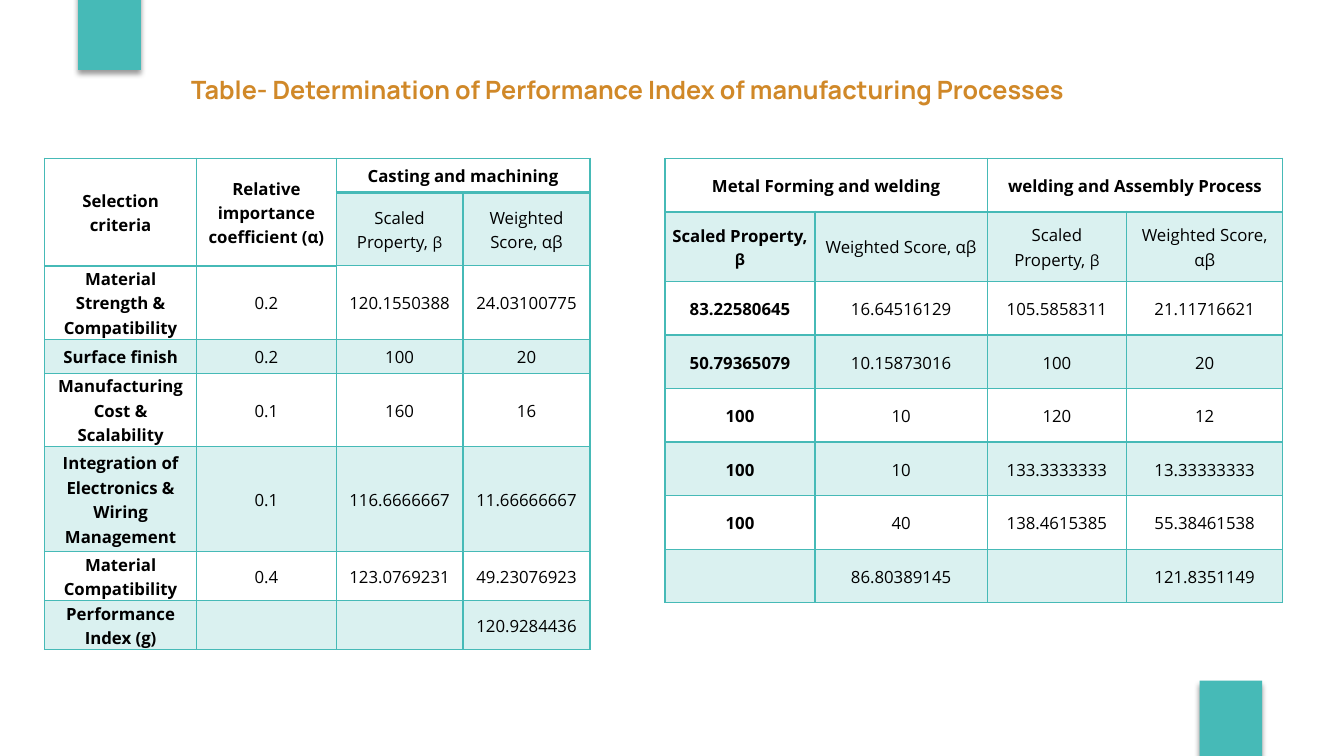
from lxml import etree
from pptx import Presentation
from pptx import util as u
from pptx.dml.color import RGBColor
from pptx.enum import shapes, text
from pptx.oxml import parse_xml
from pptx.oxml.ns import nsdecls, qn

TEAL, GOLD, BLACK = "46BAB7", "D08828", "000000"
CELL_FORMAT = {
    "margin_left": u.Cm(0.18), "margin_right": u.Cm(0.18),
    "margin_top": 0, "margin_bottom": 0,
    "vertical_anchor": text.MSO_ANCHOR.MIDDLE,
}
PARAGRAPH_FORMAT = {
    "alignment": text.PP_ALIGN.CENTER, "line_spacing": 1.07, "space_after": u.Pt(8),
}
SCALED, WEIGHTED = "Scaled Property, β", "Weighted Score, αβ"

PROCESS_TABLES = [
    {
        "left": 1.12,
        "widths": [3.84, 3.51, 3.2, 3.2],
        "heights": [0.86, 1.12, 1.75, 0.86, 1.75, 2.64, 0.86, 0.86],
        "merges": [(0, 0, 1, 0), (0, 1, 1, 1), (0, 2, 0, 3)],
        "rows": [
            ["Selection criteria", "Relative importance coefficient (α)", "Casting and machining", ""],
            ["", "", SCALED, WEIGHTED],
            ["Material Strength & Compatibility", "0.2", "120.1550388", "24.03100775"],
            ["Surface finish", "0.2", "100", "20"],
            ["Manufacturing Cost & Scalability", "0.1", "160", "16"],
            ["Integration of Electronics & Wiring Management", "0.1", "116.6666667", "11.66666667"],
            ["Material Compatibility", "0.4", "123.0769231", "49.23076923"],
            ["Performance Index (g)", "", "", "120.9284436"],
        ],
    },
    {
        "left": 16.76,
        "widths": [3.78, 4.34, 3.51, 3.94],
        "heights": [1.35, 1.75] + [1.35] * 6,
        "merges": [(0, 0, 0, 1), (0, 2, 0, 3)],
        "rows": [
            ["Metal Forming and welding", "", "welding and Assembly Process", ""],
            [SCALED, WEIGHTED, SCALED, WEIGHTED],
            ["83.22580645", "16.64516129", "105.5858311", "21.11716621"],
            ["50.79365079", "10.15873016", "100", "20"],
            ["100", "10", "120", "12"],
            ["100", "10", "133.3333333", "13.33333333"],
            ["100", "40", "138.4615385", "55.38461538"],
            ["", "86.80389145", "", "121.8351149"],
        ],
    },
]


def color(hex_string):
    return RGBColor.from_string(hex_string)


def set_format(target, values):
    for name, value in values.items():
        setattr(target, name, value)


def add_run(paragraph, content, font_name, size, hex_color, bold):
    run = paragraph.add_run()
    run.text = content
    set_format(run.font, {"name": font_name, "size": u.Pt(size), "bold": bold})
    run.font.color.rgb = color(hex_color)


def add_accent_block(slide, left, top):
    """Add a teal rectangle with a soft shadow below it."""
    block = slide.shapes.add_shape(
        shapes.MSO_SHAPE.RECTANGLE, u.Cm(left), u.Cm(top), u.Cm(1.58), u.Cm(3.2))
    block.fill.solid()
    block.fill.fore_color.rgb = color(TEAL)
    block.line.fill.background()
    block.shadow.inherit = False
    effects = block._element.spPr.find(qn("a:effectLst"))
    effects.append(parse_xml(
        f'<a:outerShdw {nsdecls("a")} blurRad="{u.Pt(4)}" dist="{u.Pt(3)}" dir="5400000"'
        f' algn="t" rotWithShape="0"><a:srgbClr val="{BLACK}">'
        '<a:alpha val="40000"/></a:srgbClr></a:outerShdw>'))


def add_title(slide):
    box = slide.shapes.add_textbox(u.Cm(4.57), u.Cm(1.75), u.Cm(26.75), u.Cm(1.02))
    set_format(box.text_frame, {
        "word_wrap": True, "auto_size": text.MSO_AUTO_SIZE.SHAPE_TO_FIT_TEXT})
    add_run(box.text_frame.paragraphs[0],
            "Table- Determination of Performance Index of manufacturing Processes",
            "Manrope", 18, GOLD, True)


def fill_cell(cell, tinted):
    if not tinted:
        cell.fill.background()
        return
    cell.fill.solid()
    cell.fill.fore_color.rgb = color(TEAL)
    teal = cell._tc.tcPr.find(".//" + qn("a:srgbClr"))
    etree.SubElement(teal, qn("a:alpha"), val="20000")


def border_cell(cell, bottom_width):
    widths = {"lnL": 1, "lnR": 1, "lnT": 1, "lnB": bottom_width}
    for position, (side, width) in enumerate(widths.items()):
        cell._tc.tcPr.insert(position, parse_xml(
            f'<a:{side} {nsdecls("a")} w="{u.Pt(width)}"><a:solidFill>'
            f'<a:srgbClr val="{TEAL}"/></a:solidFill></a:{side}>'))


def write_cell(cell, content, bold):
    set_format(cell, CELL_FORMAT)
    paragraph = cell.text_frame.paragraphs[0]
    set_format(paragraph, PARAGRAPH_FORMAT)
    pieces = [("Scaled Property, ", 12), ("β", 11)] if content == SCALED else [(content, 12)]
    for piece, size in pieces:
        add_run(paragraph, piece, "Open Sans", size, BLACK, bold)


def add_process_table(slide, left, widths, heights, merges, rows):
    frame = slide.shapes.add_table(
        len(rows), len(widths), u.Cm(left), u.Cm(3.99),
        u.Cm(sum(widths)), u.Cm(sum(heights)))
    table = frame.table
    set_format(table, {"first_row": False, "horz_banding": False})
    for column, width in zip(table.columns, widths):
        column.width = u.Cm(width)
    for row, height in zip(table.rows, heights):
        row.height = u.Cm(height)
    for top, first, bottom, last in merges:
        table.cell(top, first).merge(table.cell(bottom, last))
    for i, row in enumerate(rows):
        for j, content in enumerate(row):
            cell = table.cell(i, j)
            header = i == 0 or cell.is_spanned
            fill_cell(cell, i % 2 == 1 and not header)
            border_cell(cell, 2 if header else 1)
            if content:
                write_cell(cell, content, i == 0 or j == 0)


def main():
    presentation = Presentation()
    set_format(presentation, {"slide_width": u.Cm(33.87), "slide_height": u.Cm(19.05)})
    slide = presentation.slides.add_slide(presentation.slide_layouts[6])
    add_accent_block(slide, 1.97, -1.44)
    add_accent_block(slide, 30.23, 17.15)
    for process_table in PROCESS_TABLES:
        add_process_table(slide, **process_table)
    add_title(slide)
    presentation.save("out.pptx")


if __name__ == "__main__":
    main()
